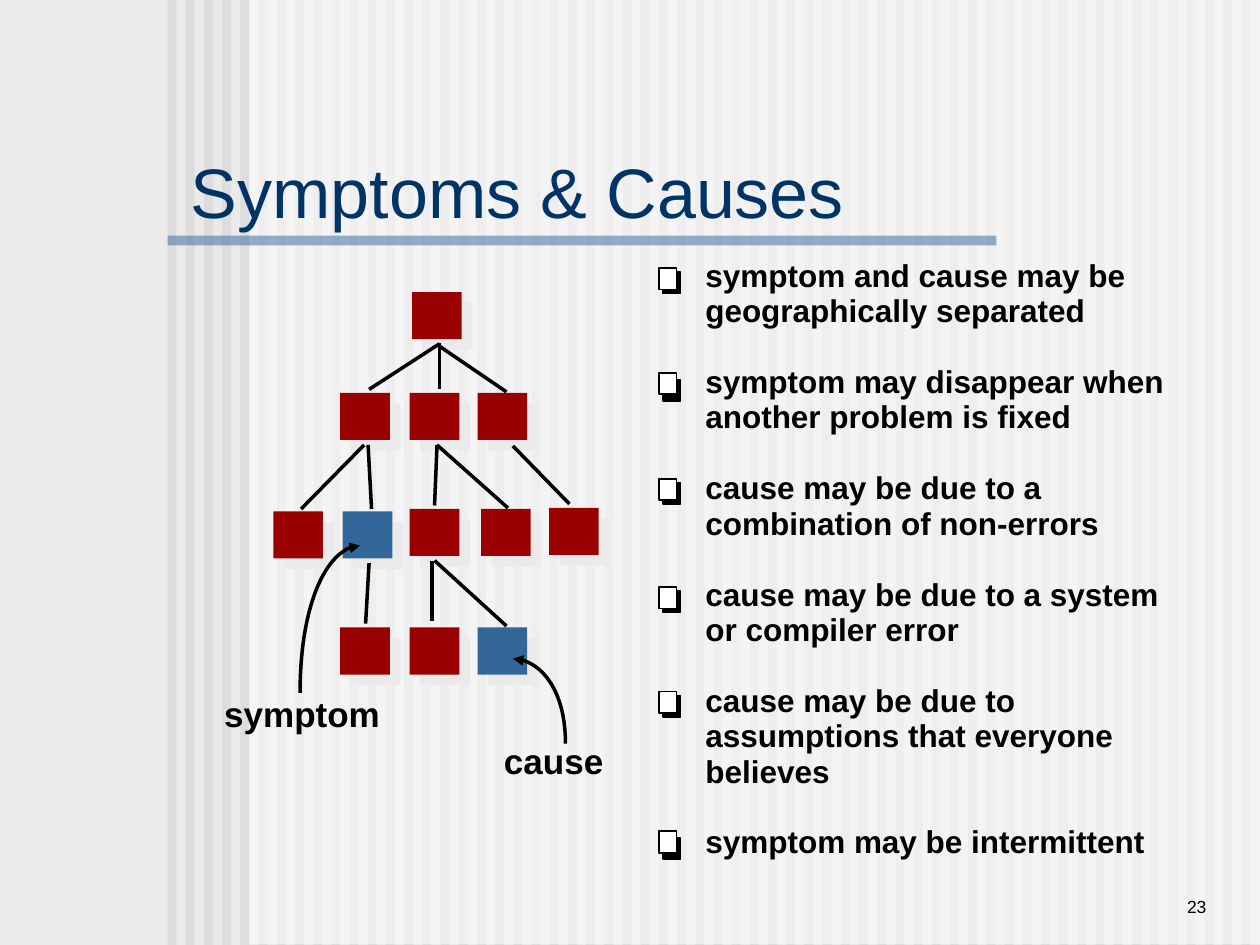
"""Build the Symptoms & Causes slide."""
import lxml.etree
import pptx
import pptx.dml.color
import pptx.enum.shapes
import pptx.enum.text
import pptx.oxml.ns
import pptx.util

Cm = pptx.util.Cm
Pt = pptx.util.Pt
qn = pptx.oxml.ns.qn
ALIGN = pptx.enum.text.PP_ALIGN
ANCHOR = pptx.enum.text.MSO_ANCHOR

RED, BLUE, BLACK, WHITE = "9A0000", "336699", "000000", "FFFFFF"
PALE, STRIPE, NAVY = "EAEAEA", "DDDDDD", "003366"
STRIPE_COUNT, STRIPE_LEFT, STRIPE_PITCH = 60, 3.38, 0.3668
CURVATURE = 0.55

SQUARES = [
    (8.31, 5.89, RED),
    (6.86, 7.92, RED), (8.26, 7.92, RED), (9.63, 7.92, RED),
    (5.51, 10.31, RED), (6.91, 10.31, BLUE), (8.26, 10.26, RED),
    (9.7, 10.26, RED), (11.07, 10.24, RED),
    (6.86, 12.65, RED), (8.26, 12.65, RED), (9.63, 12.65, BLUE),
]
BRANCHES = [
    (8.86, 6.93, 7.44, 7.85), (8.86, 6.91, 8.86, 7.85), (8.86, 6.98, 10.21, 7.9),
    (7.34, 8.97, 6.07, 10.26), (7.42, 8.97, 7.49, 10.26),
    (8.81, 8.97, 8.76, 10.19), (8.81, 8.97, 10.24, 10.24),
    (10.34, 8.99, 11.48, 10.16),
    (7.44, 11.35, 7.37, 12.57), (8.71, 11.3, 8.71, 12.52), (8.76, 11.3, 10.21, 12.62),
]
POINTS = [
    "symptom and cause may be geographically separated",
    "symptom may disappear when another problem is fixed",
    "cause may be due to a combination of non-errors",
    "cause may be due to a system or compiler error",
    "cause may be due to assumptions that everyone believes",
    "symptom may be intermittent",
]
MARKERS = [(5.41, 0.08), (7.52, 0.13), (9.65, 0.08), (11.84, 0.08), (13.94, 0.08), (16.76, 0.13)]


def colour(value):
    return pptx.dml.color.RGBColor.from_string(value)


def assign(target, values):
    for name, value in values.items():
        setattr(target, name, value)


class SlideBuilder:
    def __init__(self, slide):
        self.slide = slide
        self.shapes = slide.shapes
        self.font = {"name": "Arial", "size": Pt(18), "bold": False}
        self.line_width = Pt(2)

    def background(self, fill):
        background = self.slide.background.fill
        background.solid()
        background.fore_color.rgb = colour(fill)

    def rectangle(self, left, top, width, height, fill, alpha=None, outline=None, shadow=None):
        shape = self.shapes.add_shape(
            pptx.enum.shapes.MSO_SHAPE.RECTANGLE, Cm(left), Cm(top), Cm(width), Cm(height))
        shape.shadow.inherit = False
        shape.fill.solid()
        shape.fill.fore_color.rgb = colour(fill)
        properties = shape._element.spPr
        if alpha:
            solid = properties.find(qn("a:solidFill"))
            lxml.etree.SubElement(solid[0], qn("a:alpha"), val=str(alpha * 1000))
        if outline:
            shape.line.color.rgb = colour(outline)
            shape.line.width = Pt(1)
        else:
            shape.line.fill.background()
        if shadow:
            effects = properties.find(qn("a:effectLst"))
            outer = lxml.etree.SubElement(
                effects, qn("a:outerShdw"), dist=str(Pt(8.5)), dir="2700000",
                algn="ctr", rotWithShape="0")
            lxml.etree.SubElement(outer, qn("a:srgbClr"), val=shadow)

    def text(self, left, top, width, height, lines, fill=BLACK, wrap=True,
             anchor=ANCHOR.TOP, spacing=None, align=ALIGN.LEFT, **font):
        frame = self.shapes.add_textbox(Cm(left), Cm(top), Cm(width), Cm(height)).text_frame
        assign(frame, {"word_wrap": wrap, "vertical_anchor": anchor})
        for index, line in enumerate(lines):
            paragraph = frame.paragraphs[0] if index == 0 else frame.add_paragraph()
            assign(paragraph, {"text": line, "alignment": align, "line_spacing": spacing})
            if index and spacing:
                paragraph.space_before = spacing
            assign(paragraph.font, {**self.font, **font})
            paragraph.font.color.rgb = colour(fill)

    def style_line(self, shape):
        shape.line.color.rgb = colour(BLACK)
        shape.line.width = self.line_width

    def line(self, *ends):
        connector = self.shapes.add_connector(
            pptx.enum.shapes.MSO_CONNECTOR.STRAIGHT, *(Cm(value) for value in ends))
        self.style_line(connector)
        lxml.etree.SubElement(connector._element.spPr, qn("a:effectLst"))

    def curved_arrow(self, left, top, end_left, end_top):
        builder = self.shapes.build_freeform(Cm(left), Cm(top))
        builder.add_line_segments([(Cm(end_left), Cm(end_top))], close=False)
        shape = builder.convert_to_shape()
        shape.shadow.inherit = False
        shape.fill.background()
        self.style_line(shape)
        properties = shape._element.spPr
        (x, y), (end_x, end_y) = [
            (int(point.get("x")), int(point.get("y"))) for point in properties.iter(qn("a:pt"))]
        controls = [(x, round(y + CURVATURE * (end_y - y))),
                    (round(end_x + CURVATURE * (x - end_x)), end_y)]
        segment = next(properties.iter(qn("a:lnTo")))
        curve = lxml.etree.Element(qn("a:cubicBezTo"))
        for point_x, point_y in controls + [(end_x, end_y)]:
            lxml.etree.SubElement(curve, qn("a:pt"), x=str(point_x), y=str(point_y))
        segment.getparent().replace(segment, curve)
        lxml.etree.SubElement(properties.find(qn("a:ln")), qn("a:tailEnd"), type="triangle")


def main():
    presentation = pptx.Presentation()
    assign(presentation, {"slide_width": Cm(25.4), "slide_height": Cm(19.05)})
    builder = SlideBuilder(presentation.slides.add_slide(presentation.slide_layouts[6]))

    builder.background(PALE)
    for index in range(STRIPE_COUNT):
        builder.rectangle(STRIPE_LEFT + index * STRIPE_PITCH, 0, 0.18, 19.05, STRIPE)
    builder.rectangle(5.03, 0, 20.37, 19.03, WHITE, alpha=50)
    builder.rectangle(3.38, 4.75, 16.71, 0.2, BLUE, alpha=50)

    builder.text(20.96, 17.35, 3.61, 1.27, ["23"], size=Pt(10),
                 align=ALIGN.RIGHT, anchor=ANCHOR.BOTTOM)
    builder.text(3.6, 3.18, 16.15, 1.32, ["Symptoms & Causes"], fill=NAVY,
                 size=Pt(40), anchor=ANCHOR.MIDDLE)

    for left, top, fill in SQUARES:
        builder.rectangle(left, top, 1, 0.95, fill, shadow=PALE)
    builder.text(4.27, 13.84, 3.66, 1.09, ["symptom"], wrap=False, size=Pt(20), bold=True)
    builder.text(9.91, 14.78, 2.51, 1.09, ["cause"], wrap=False, size=Pt(20), bold=True)

    builder.text(13.97, 5.08, 10.2, 12.45, POINTS, spacing=Pt(20.25), bold=True)
    for top, drop in MARKERS:
        builder.rectangle(13.36, top + drop, 0.36, 0.43, BLACK, outline=BLACK)
        builder.rectangle(13.28, top, 0.36, 0.43, WHITE, outline=BLACK)

    for branch in BRANCHES:
        builder.line(*branch)
    builder.curved_arrow(6.05, 13.97, 7.26, 11)
    builder.curved_arrow(11.4, 14.99, 10.34, 13.28)

    presentation.save("out.pptx")


if __name__ == "__main__":
    main()
